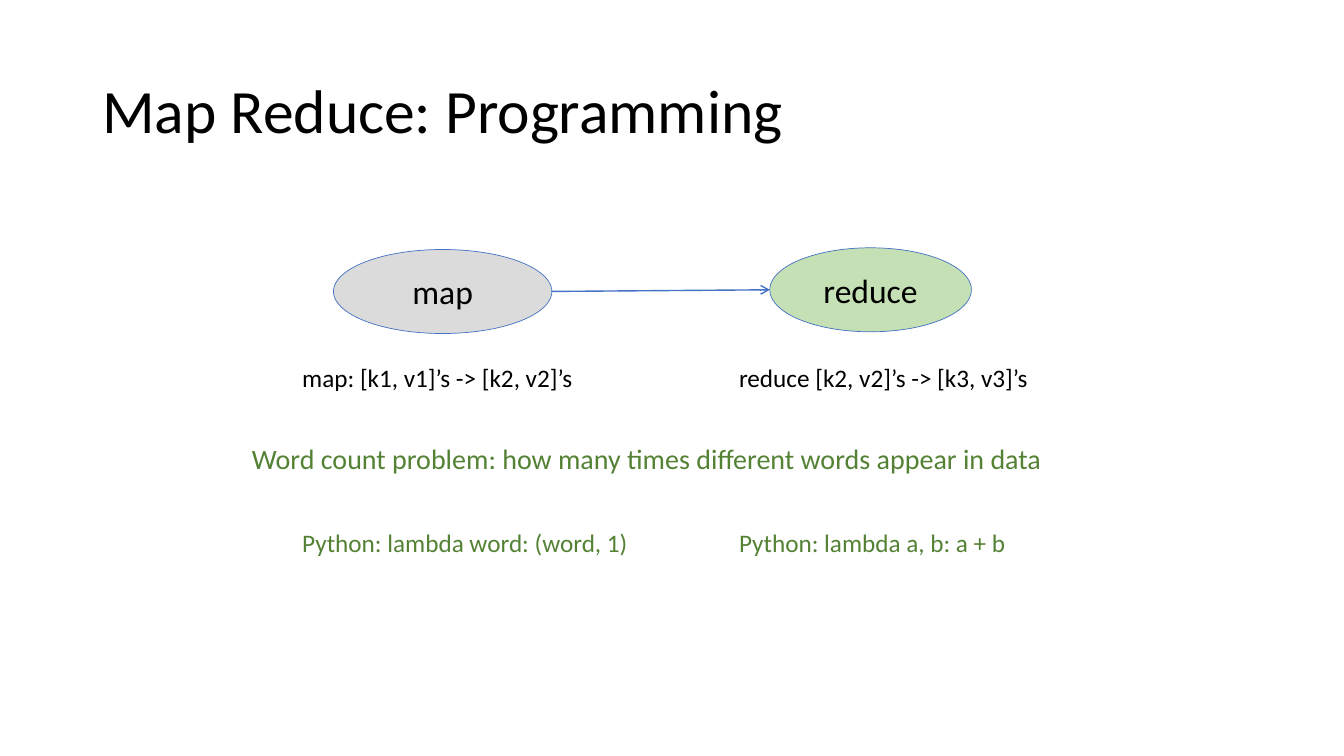
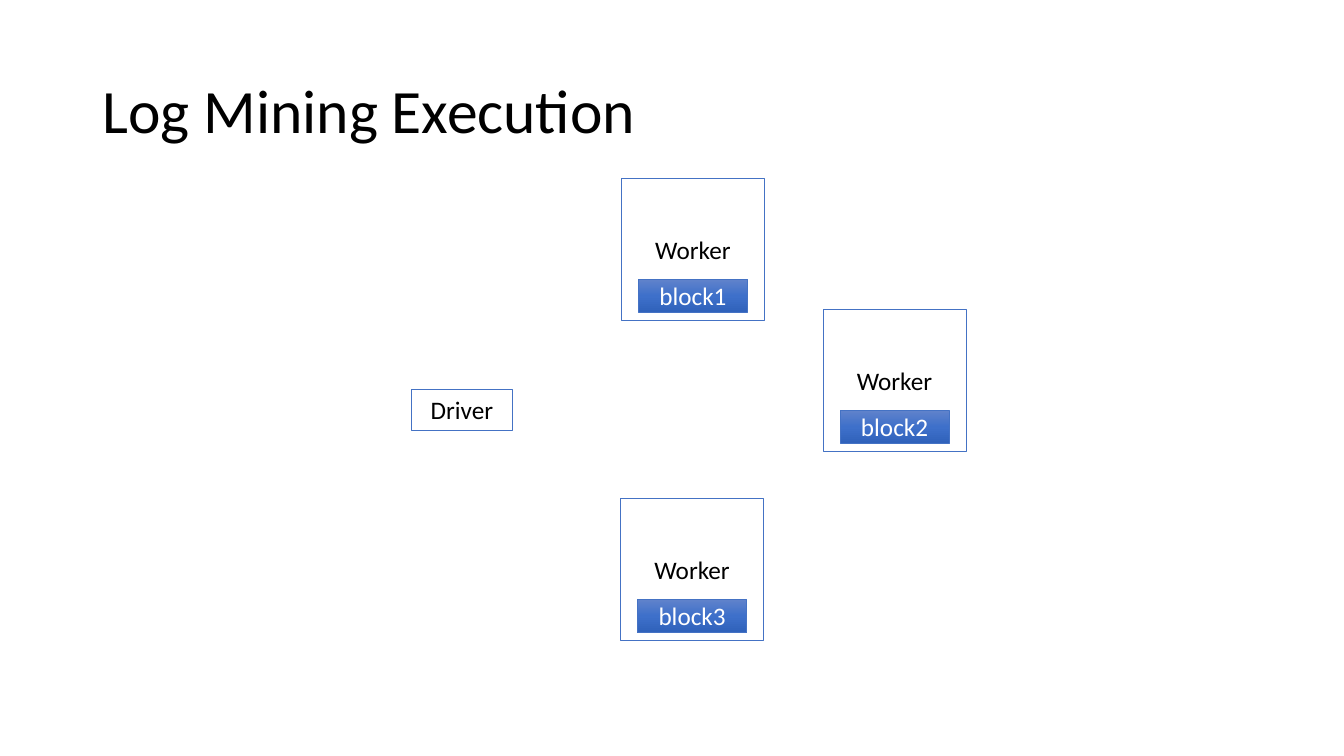
from copy import deepcopy
from typing import NamedTuple

from pptx import Presentation
from pptx.dml.color import RGBColor
from pptx.enum.shapes import MSO_CONNECTOR, MSO_SHAPE
from pptx.enum.text import MSO_ANCHOR, PP_ALIGN
from pptx.oxml.ns import qn
from pptx.oxml.xmlchemy import OxmlElement
from pptx.shapes.autoshape import Shape
from pptx.slide import Slide
from pptx.text.text import TextFrame
from pptx.util import Inches, Length, Pt

RECT, OVAL = MSO_SHAPE.RECTANGLE, MSO_SHAPE.OVAL
STRAIGHT = MSO_CONNECTOR.STRAIGHT
TOP, MIDDLE = MSO_ANCHOR.TOP, MSO_ANCHOR.MIDDLE
LEFT, CENTER = PP_ALIGN.LEFT, PP_ALIGN.CENTER

BLACK = RGBColor(0x00, 0x00, 0x00)
WHITE = RGBColor(0xFF, 0xFF, 0xFF)
BLUE = RGBColor(0x44, 0x72, 0xC4)
GRAY = RGBColor(0xDB, 0xDB, 0xDB)
LIGHT_GREEN = RGBColor(0xC5, 0xE0, 0xB4)
GREEN = RGBColor(0x54, 0x82, 0x35)
BLOCK_GRADIENT = (
    (0, RGBColor(0x61, 0x83, 0xCB)),
    (0.5, RGBColor(0x3E, 0x70, 0xCA)),
    (1, RGBColor(0x30, 0x62, 0xBB)),
)

FONT = "Calibri"
COLS, ROWS = 160, 90
SLIDE_W, SLIDE_H = Inches(13.3333), Inches(7.5)


class Box(NamedTuple):
    col: float
    row: float
    cols: float
    rows: float

    @property
    def middle(self) -> float:
        return self.row + self.rows / 2

    @property
    def right(self) -> float:
        return self.col + self.cols


class Label(NamedTuple):
    text: str
    box: Box
    size: int = 18
    color: RGBColor = BLACK


class Worker(NamedTuple):
    block: str
    col: float
    row: float


TITLE_BOX = Box(11, 4.8, 138, 17.4)
MAP = Label("map", Box(39.7, 29.7, 26, 10), 24)
REDUCE = Label("reduce", Box(91.65, 29.5, 24, 10), 24)
MAP_COL, REDUCE_COL = 34.8, 86.8
NOTES = (
    Label("map: [k1, v1]’s -> [k2, v2]’s", Box(MAP_COL, 42.5, 42, 5)),
    Label("reduce [k2, v2]’s -> [k3, v3]’s", Box(REDUCE_COL, 42.5, 44, 5)),
    Label("Word count problem: how many times different words appear in data",
          Box(28.8, 52, 110, 5), 20, GREEN),
    Label("Python: lambda word: (word, 1)", Box(MAP_COL, 62.2, 48, 5), 18, GREEN),
    Label("Python: lambda a, b: a + b", Box(REDUCE_COL, 62.2, 44, 5), 18, GREEN),
)
DRIVER = Label("Driver", Box(49, 46.3, 12, 5))
WORKER_SIDE = 17
BLOCK_COLS, BLOCK_ROWS, BLOCK_DROP = 13, 4, 12
WORKERS = (
    Worker("block1", 74, 21.2),
    Worker("block2", 98, 36.8),
    Worker("block3", 73.9, 59.3),
)


def x(cols: float) -> Length:
    return Length(round(SLIDE_W * cols / COLS))


def y(rows: float) -> Length:
    return Length(round(SLIDE_H * rows / ROWS))


def place(box: Box) -> tuple[Length, Length, Length, Length]:
    return x(box.col), y(box.row), x(box.cols), y(box.rows)


def write(tf: TextFrame, label: Label, align: PP_ALIGN, anchor: MSO_ANCHOR) -> None:
    tf.text = label.text
    tf.word_wrap = True
    tf.vertical_anchor = anchor
    p = tf.paragraphs[0]
    p.alignment = align
    font = p.runs[0].font
    font.name = FONT
    font.size = Pt(label.size)
    font.color.rgb = label.color


def add_text(s: Slide, label: Label, anchor: MSO_ANCHOR = TOP) -> TextFrame:
    tf = s.shapes.add_textbox(*place(label.box)).text_frame
    write(tf, label, LEFT, anchor)
    return tf


def add_node(s: Slide, label: Label, kind: MSO_SHAPE = RECT,
             fill: RGBColor | None = None) -> Shape:
    sp = s.shapes.add_shape(kind, *place(label.box))
    sp.shadow.inherit = False
    if fill is None:
        sp.fill.background()
    else:
        sp.fill.solid()
        sp.fill.fore_color.rgb = fill
    sp.line.color.rgb = BLUE
    sp.line.width = Pt(0.5)
    write(sp.text_frame, label, CENTER, MIDDLE)
    return sp


def fill_gradient(sp: Shape) -> None:
    sp.fill.gradient()
    sp.fill.gradient_angle = 270
    stop_list = next(sp.element.iter(qn("a:gsLst")))
    stop_list.append(deepcopy(stop_list[-1]))
    for stop, (position, color) in zip(sp.fill.gradient_stops, BLOCK_GRADIENT):
        stop.position = position
        stop.color.rgb = color


def add_arrow(s: Slide, start: Box, end: Box) -> None:
    line = s.shapes.add_connector(STRAIGHT, x(start.right), y(start.middle),
                                  x(end.col), y(end.middle))
    line.line.color.rgb = BLUE
    line.line.width = Pt(1)
    tail = OxmlElement("a:tailEnd")
    tail.set("type", "arrow")
    line.line._get_or_add_ln().append(tail)
    line.element.spPr.append(OxmlElement("a:effectLst"))


def add_worker(s: Slide, worker: Worker) -> None:
    box = Box(worker.col, worker.row, WORKER_SIDE, WORKER_SIDE)
    add_node(s, Label("Worker", box))
    inset = (WORKER_SIDE - BLOCK_COLS) / 2
    block = Box(box.col + inset, box.row + BLOCK_DROP, BLOCK_COLS, BLOCK_ROWS)
    fill_gradient(add_node(s, Label(worker.block, block, color=WHITE)))


def add_slide(prs: Presentation, title: str) -> Slide:
    s = prs.slides.add_slide(prs.slide_layouts[6])
    tf = add_text(s, Label(title, TITLE_BOX, 44), MIDDLE)
    tf.paragraphs[0].line_spacing = 0.9
    return s


def build_programming(prs: Presentation) -> None:
    s = add_slide(prs, "Map Reduce: Programming")
    add_node(s, MAP, OVAL, GRAY)
    add_node(s, REDUCE, OVAL, LIGHT_GREEN)
    add_arrow(s, MAP.box, REDUCE.box)
    for note in NOTES:
        add_text(s, note)


def build_execution(prs: Presentation) -> None:
    s = add_slide(prs, "Log Mining Execution")
    add_node(s, DRIVER)
    for worker in WORKERS:
        add_worker(s, worker)


def main() -> None:
    prs = Presentation()
    prs.slide_width, prs.slide_height = SLIDE_W, SLIDE_H
    build_programming(prs)
    build_execution(prs)
    prs.save("out.pptx")


if __name__ == "__main__":
    main()
